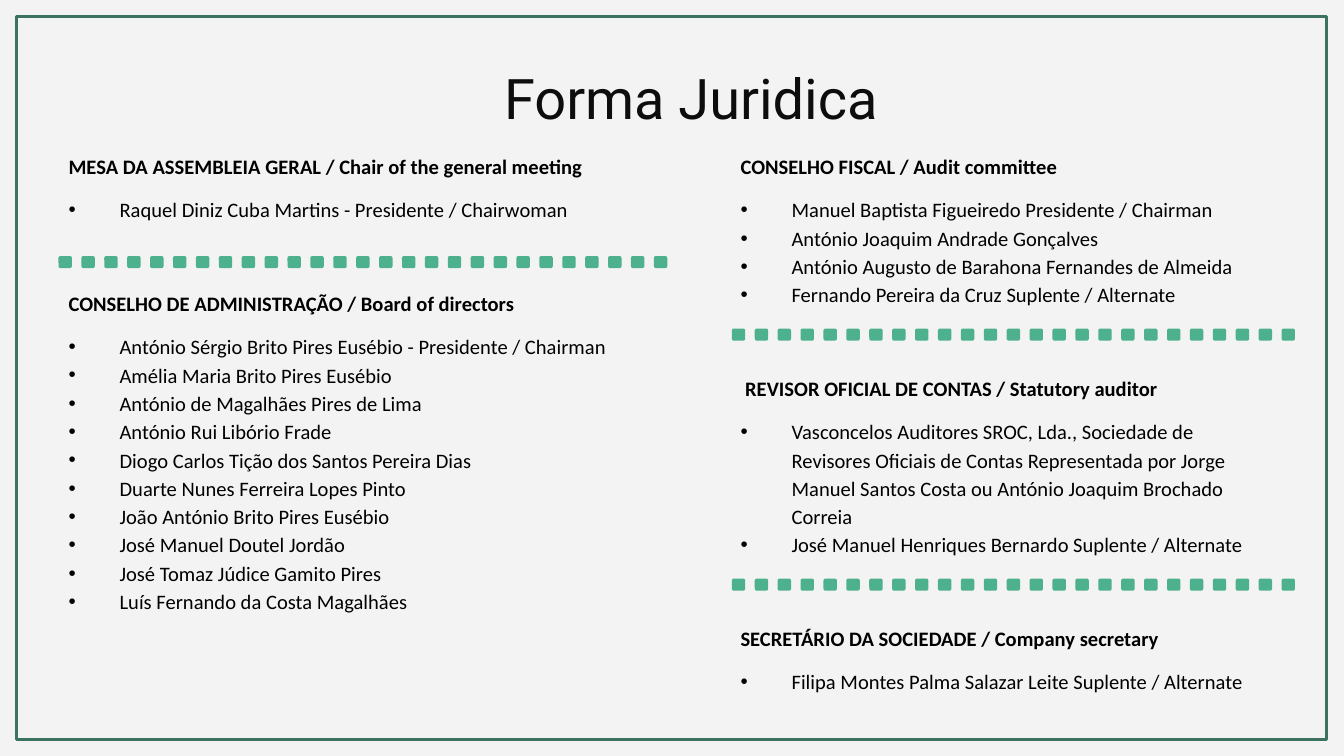
from pptx import Presentation
from pptx.dml.color import RGBColor
from pptx.enum.shapes import MSO_SHAPE
from pptx.enum.text import MSO_ANCHOR, MSO_AUTO_SIZE, PP_ALIGN
from pptx.oxml.ns import qn
from pptx.util import Inches, Pt
from lxml.etree import SubElement

BACKGROUND, FRAME, DOT, TITLE, TEXT = "F3F3F3", "3C735F", "4CB18C", "0D0D0D", "000000"
DOT_WIDTH, DOT_HEIGHT = 0.09, 0.1

LEFT_SECTIONS = [
    ("MESA DA ASSEMBLEIA GERAL / Chair of the general meeting", [
        "Raquel Diniz Cuba Martins - Presidente / Chairwoman",
    ]),
    ("CONSELHO DE ADMINISTRAÇÃO / Board of directors", [
        "António Sérgio Brito Pires Eusébio - Presidente / Chairman",
        "Amélia Maria Brito Pires Eusébio",
        "António de Magalhães Pires de Lima",
        "António Rui Libório Frade",
        "Diogo Carlos Tição dos Santos Pereira Dias",
        "Duarte Nunes Ferreira Lopes Pinto",
        "João António Brito Pires Eusébio",
        "José Manuel Doutel Jordão",
        "José Tomaz Júdice Gamito Pires",
        "Luís Fernando da Costa Magalhães",
    ]),
]
RIGHT_SECTIONS = [
    ("CONSELHO FISCAL / Audit committee", [
        "Manuel Baptista Figueiredo Presidente / Chairman",
        "António Joaquim Andrade Gonçalves",
        "António Augusto de Barahona Fernandes de Almeida",
        "Fernando Pereira da Cruz Suplente / Alternate",
    ]),
    (" REVISOR OFICIAL DE CONTAS / Statutory auditor", [
        "Vasconcelos Auditores SROC, Lda., Sociedade de Revisores Oficiais de Contas "
        "Representada por Jorge Manuel Santos Costa ou António Joaquim Brochado Correia",
        "José Manuel Henriques Bernardo Suplente / Alternate",
    ]),
    ("SECRETÁRIO DA SOCIEDADE / Company secretary", [
        "Filipa Montes Palma Salazar Leite Suplente / Alternate",
    ]),
]


def color(value):
    return RGBColor.from_string(value)


def place(shape, box):
    shape.left, shape.top, shape.width, shape.height = map(Inches, box)


def add_span(para, text, font, size, fill, bold=False):
    span = para.add_run()
    span.text = text
    span.font.name, span.font.size, span.font.bold = font, Pt(size), bold
    span.font.color.rgb = color(fill)


def add_frame(page, box):
    frame = page.shapes.add_shape(MSO_SHAPE.RECTANGLE, *map(Inches, box))
    frame.shadow.inherit = False
    frame.fill.background()
    frame.line.color.rgb = color(FRAME)
    frame.line.width = Pt(1.5)


def fill_title(title, box, text):
    place(title, box)
    frame = title.text_frame
    frame.auto_size = MSO_AUTO_SIZE.NONE
    frame.vertical_anchor = MSO_ANCHOR.TOP
    frame.margin_left = frame.margin_right = Inches(0.1)
    frame.margin_top = frame.margin_bottom = Inches(0.1)
    para = frame.paragraphs[0]
    para.alignment = PP_ALIGN.LEFT
    add_span(para, text, "Roboto", 30, TITLE)


def set_bullet(para, char=None):
    """Hang the paragraph from a bullet, or remove the inherited one."""
    properties = para._p.get_or_add_pPr()
    indent = Inches(0.38) if char else 0
    properties.set("marL", str(indent))
    properties.set("indent", str(-indent))
    if char:
        bullet_color = SubElement(properties, qn("a:buClr"))
        SubElement(bullet_color, qn("a:srgbClr"), val=TEXT)
        SubElement(properties, qn("a:buChar"), char=char)
    else:
        SubElement(properties, qn("a:buNone"))


def fill_column(body, box, sections):
    """Write each section as a bold heading with its bulleted members."""
    place(body, box)
    frame = body.text_frame
    frame.auto_size = MSO_AUTO_SIZE.NONE

    def add_line(text, before, after, bullet=None):
        first = not frame.paragraphs[0].runs
        para = frame.paragraphs[0] if first else frame.add_paragraph()
        set_bullet(para, bullet)
        para.line_spacing = 1.15
        para.space_before = Pt(0 if first else before)
        para.space_after = Pt(after)
        add_span(para, text, "Calibri", 11, TEXT, bold=not bullet)

    for heading, members in sections:
        add_line(heading, 25, 8)
        for member in members:
            add_line(member, 0, 10 if member == members[-1] else 0, "•")


def add_dot_row(page, left, top, width, count):
    """Spread the dots evenly over the width."""
    row = page.shapes.add_group_shape()
    step = (width - DOT_WIDTH) / (count - 1)
    for index in range(count):
        box = (left + index * step, top, DOT_WIDTH, DOT_HEIGHT)
        dot = row.shapes.add_shape(MSO_SHAPE.ROUNDED_RECTANGLE, *map(Inches, box))
        dot.rotation = 90
        dot.shadow.inherit = False
        dot.fill.solid()
        dot.fill.fore_color.rgb = color(DOT)
        dot.line.fill.background()


def build_governance_page(deck):
    page = deck.slides.add_slide(deck.slide_layouts.get_by_name("Two Content"))
    page.background.fill.solid()
    page.background.fill.fore_color.rgb = color(BACKGROUND)
    title, left_body, right_body = page.placeholders
    fill_title(title, (3.65, 0.37, 3.52, 0.63), "Forma Juridica")
    fill_column(left_body, (0.41, 1.07, 4.54, 4.35), LEFT_SECTIONS)
    fill_column(right_body, (5.41, 1.07, 4.09, 4.18), RIGHT_SECTIONS)
    add_frame(page, (0.12, 0.12, 9.75, 5.38))
    add_dot_row(page, 0.44, 1.9, 4.52, 27)
    for top in (2.44, 4.3):
        add_dot_row(page, 5.45, top, 4.18, 25)


def main():
    deck = Presentation()
    deck.slide_width = Inches(10)
    deck.slide_height = deck.slide_width * 9 // 16
    build_governance_page(deck)
    deck.save("out.pptx")


if __name__ == "__main__":
    main()
